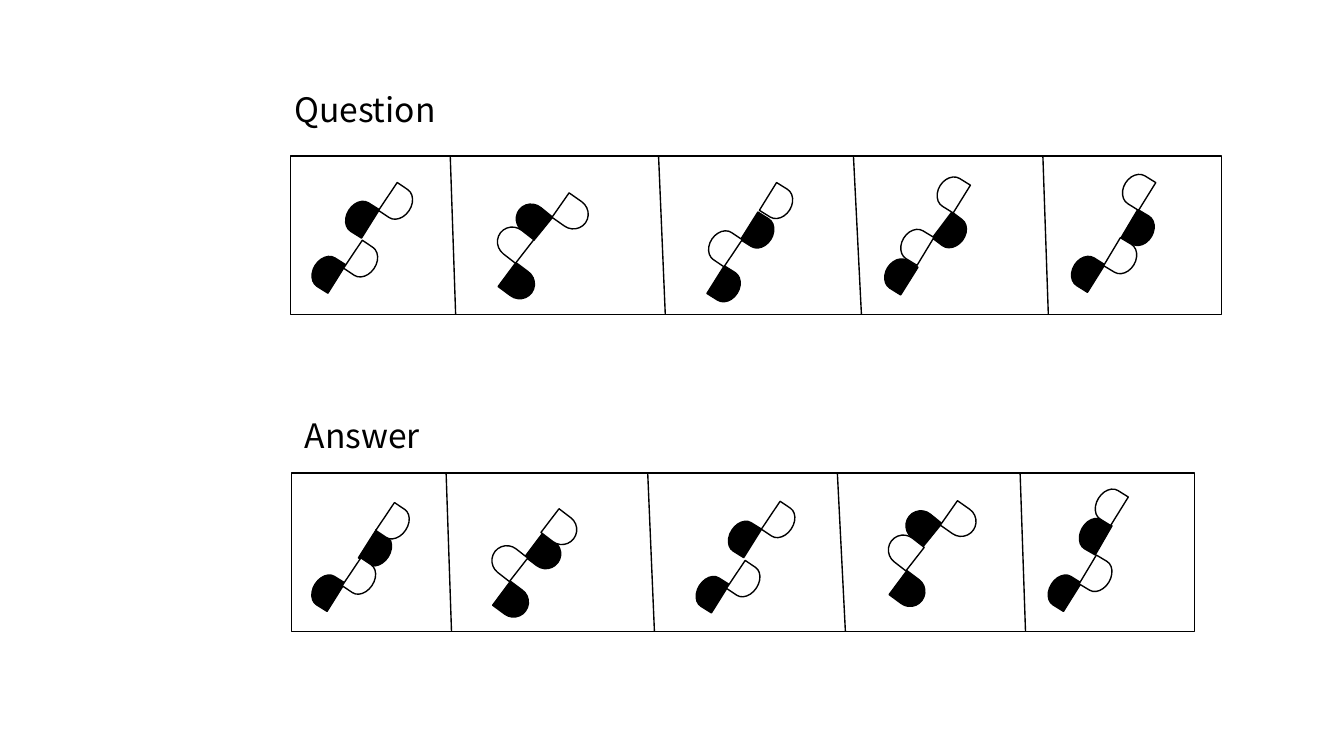
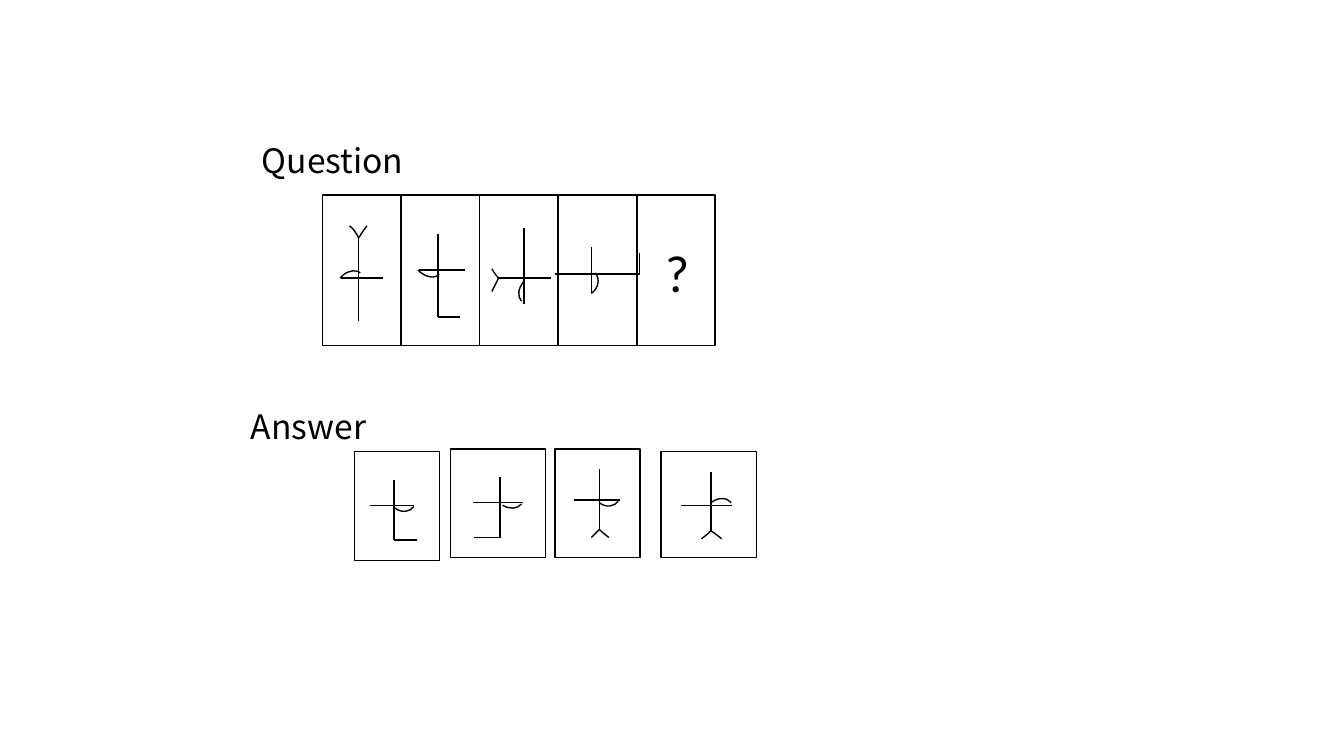
from pptx import Presentation
from pptx import util as u
from pptx.dml.color import RGBColor
from pptx.enum import shapes, text
from pptx.oxml.ns import qn
from lxml import etree

COLORS = {"dark": "000000", "light": "FFFFFF", "ink": "000000"}
HEADING = {"size": 18, "name": "Noto Sans CJK KR"}
MARK = {"size": 28, "name": "Calibri"}
HEADING_SIZE = (175.7, 28.8)
LINE_WIDTH = 0.75

PETAL_STRIPS = [
    {
        "heading": ("Question", 150.5, 43.9),
        "frame": (155.5, 83.5, 499, 85),
        "dividers": [(241.2, 244.1), (352.8, 356.4), (457.2, 461.5), (558.7, 561.6)],
        "panels": [
            ((13.7, 18), [("dark", 167.8, 136.8, 212.1), ("dark", 185.8, 107.3, 212.1),
                          ("light", 187.9, 131, 33.9), ("light", 206.6, 100.1, 33.9)]),
            ((16.4, 16), [("dark", 276.5, 109.4, 219.1), ("light", 298.8, 106.6, 35),
                          ("dark", 270, 144, 36.6), ("light", 266.4, 121.7, 217.9)]),
            ((13.7, 17.5), [("dark", 400.3, 115.9, 32.1), ("dark", 382.3, 144.7, 32.1),
                            ("light", 410.4, 100.1, 31.8), ("light", 380.2, 123.1, 213.9)]),
            ((13.7, 17.5), [("dark", 474.5, 138.2, 212.1), ("dark", 503.3, 115.9, 37),
                            ("light", 483.1, 122.4, 211.2), ("light", 502.6, 94.3, 211.8)]),
            ((13.7, 17.5), [("dark", 574.6, 136.8, 212.1), ("dark", 604.1, 114.5, 30.7),
                            ("light", 594.7, 129.6, 30.9), ("light", 601.9, 92.9, 211.8)]),
        ],
    },
    {
        "heading": ("Answer", 156.2, 218.9),
        "frame": (156.2, 253.4, 483.8, 85),
        "dividers": [(239, 241.9), (347, 350.6), (448.6, 452.9), (546.5, 549.4)],
        "panels": [
            ((13.2, 18), [("dark", 167.8, 307.4, 212.1), ("dark", 195.8, 285.8, 32.3),
                          ("light", 187.2, 301, 33.9), ("light", 205.2, 271.4, 33.9)]),
            ((16, 16), [("dark", 284.4, 288.7, 36.9), ("light", 293, 275.8, 37.3),
                        ("dark", 267.1, 314.6, 36.6), ("light", 263.5, 292.3, 217.9)]),
            ((13.2, 18), [("dark", 373.7, 308.2, 212.1), ("dark", 391, 278.6, 212.1),
                          ("light", 393.1, 302.4, 33.9), ("light", 411.8, 270.7, 33.9)]),
            ((16, 16), [("dark", 485.3, 273.6, 219.1), ("light", 506.9, 271.4, 35),
                        ("dark", 479.5, 308.9, 36.6), ("light", 475.9, 286.6, 217.9)]),
            ((13.2, 18), [("dark", 562.3, 307.4, 212.1), ("dark", 578.9, 277.2, 209.9),
                          ("light", 581.8, 299.5, 30.9), ("light", 587.5, 261.4, 211.8)]),
        ],
    },
]

STICK_HEADINGS = [("Question", 133.2, 71.3), ("Answer", 127.4, 213.8)]
QUESTION_MARK = ("?", 349.2, 125.3)
QUESTION_ROW = {"left": 172.8, "top": 104.4, "step": 42.1, "width": 41.9, "height": 80.8, "count": 5}
ANSWER_FRAMES = [(190.1, 241.9, 45.4, 58.3), (241.2, 240.5, 51.1, 58.3),
                 (297.4, 240.5, 45.4, 58.3), (354.2, 241.9, 51.1, 56.9)]
STICK_FIGURES = [
    {"lines": [(182.9, 149, 205.2, 149), (192.2, 127.4, 192.2, 172.1)],
     "curves": [[(193, 146.2), (190.1, 144), (185, 145.4), (182.2, 149)],
                [(192.2, 127.4), (190.8, 124.6), (188.6, 121.7), (187.2, 121)],
                [(192.2, 127.4), (192.2, 127.4), (194.4, 123.8), (196.6, 121)]]},
    {"lines": [(224.6, 144.7, 249.1, 144.7), (234.7, 125.3, 234.7, 169.9),
               (234.7, 169.9, 246.2, 169.9)],
     "curves": [[(235.4, 146.9), (232.6, 149.8), (227.5, 148.3), (223.9, 144.7)]]},
    {"lines": [(267.1, 149, 295.2, 149), (280.8, 162.7, 280.8, 122.4)],
     "curves": [[(280.8, 150.5), (277.2, 154.8), (277.2, 159.1), (279.4, 161.3)],
                [(267.1, 149), (265.7, 151.9), (264.2, 154.8), (263.5, 156.2)],
                [(267.1, 149), (267.1, 149), (265, 146.9), (263.5, 144)]]},
    {"lines": [(297.4, 146.7, 342.7, 146.7), (316.8, 132.3, 316.8, 157.2),
               (342.5, 146.7, 342.5, 135.5)],
     "curves": [[(319, 146.2), (321.6, 149.8), (320.6, 154.4), (316.8, 157.2)]]},
    {"lines": [(198, 270.7, 221.8, 270.7), (211, 257, 211, 289.4), (211, 289.4, 223.2, 289.4)],
     "curves": [[(211.7, 272.2), (215.3, 275), (219.6, 274.3), (221.8, 271.4)]]},
    {"lines": [(253.4, 269.3, 280.1, 269.3), (267.8, 255.6, 267.8, 288), (254.2, 288, 267.8, 288)],
     "curves": [[(269.3, 270.7), (272.9, 272.9), (277.2, 272.9), (279.4, 270)]]},
    {"lines": [(307.4, 267.8, 331.9, 267.8), (321.1, 251.3, 321.1, 283.7)],
     "curves": [[(321.1, 269.3), (324.7, 272.2), (329, 271.4), (331.2, 268.6)],
                [(321.1, 283.7), (323.3, 285.8), (325.4, 287.3), (326.2, 288)],
                [(321.1, 283.7), (321.1, 283.7), (319, 285.8), (316.8, 288)]]},
    {"lines": [(365, 270.7, 392.4, 270.7), (380.9, 252.7, 380.9, 284.4)],
     "curves": [[(380.9, 269.3), (384.5, 266.4), (389.5, 266.4), (391.7, 269.3)],
                [(380.9, 284.4), (383, 285.8), (385.9, 288), (386.6, 288.7)],
                [(380.9, 284.4), (380.9, 284.4), (378.7, 286.6), (375.8, 288.7)]]},
]


def color(name):
    return RGBColor.from_string(COLORS[name])


def points(values):
    return [u.Pt(value) for value in values]


def outline(shape):
    shape.line.color.rgb = color("ink")
    shape.line.width = u.Pt(LINE_WIDTH)


def style(shape, fill=None):
    shape.shadow.inherit = False
    outline(shape)
    if fill:
        shape.fill.solid()
        shape.fill.fore_color.rgb = color(fill)
    else:
        shape.fill.background()


def add_frame(slide, box):
    style(slide.shapes.add_shape(shapes.MSO_SHAPE.RECTANGLE, *points(box)))


def add_petal(slide, size, fill, left, top, rotation):
    shape = slide.shapes.add_shape(shapes.MSO_SHAPE.FLOWCHART_DELAY, *points((left, top, *size)))
    shape.rotation = rotation
    style(shape, fill)


def add_line(slide, ends):
    line = slide.shapes.add_connector(shapes.MSO_CONNECTOR.STRAIGHT, *points(ends))
    outline(line)
    etree.SubElement(line.element.spPr, qn("a:effectLst"))


def add_curve(slide, corners):
    start, *others = [points(corner) for corner in corners]
    builder = slide.shapes.build_freeform(*start)
    builder.add_line_segments(others, close=False)
    shape = builder.convert_to_shape()
    segments = list(shape.element.iter(qn("a:lnTo")))
    drawing = segments[0].getparent()
    bezier = etree.SubElement(drawing, qn("a:cubicBezTo"))
    for segment in segments:
        bezier.append(segment[0])
        drawing.remove(segment)
    style(shape)


def add_text(slide, words, left, top, size, font, align=None, space_after=None):
    box = slide.shapes.add_textbox(*points((left, top, *size)))
    box.text_frame.word_wrap = True
    paragraph = box.text_frame.paragraphs[0]
    paragraph.alignment = align
    paragraph.space_after = space_after
    run = paragraph.add_run()
    run.text = words
    for name, value in font.items():
        setattr(run.font, name, u.Pt(value) if name == "size" else value)
    run.font.color.rgb = color("ink")


def add_petal_strip(slide, strip):
    left, top, width, height = strip["frame"]
    add_frame(slide, strip["frame"])
    for upper, lower in strip["dividers"]:
        add_line(slide, (upper, top, lower, top + height))
    for size, petals in strip["panels"]:
        for petal in petals:
            add_petal(slide, size, *petal)
    add_text(slide, *strip["heading"], HEADING_SIZE, HEADING)


presentation = Presentation()
presentation.slide_width, presentation.slide_height = points((720, 405))
petal_slide, stick_slide = [
    presentation.slides.add_slide(presentation.slide_layouts[6]) for _ in range(2)
]

for strip in PETAL_STRIPS:
    add_petal_strip(petal_slide, strip)

row = QUESTION_ROW
question_frames = [(row["left"] + index * row["step"], row["top"], row["width"], row["height"])
                   for index in range(row["count"])]
for frame in question_frames + ANSWER_FRAMES:
    add_frame(stick_slide, frame)
for figure in STICK_FIGURES:
    for ends in figure["lines"]:
        add_line(stick_slide, ends)
    for corners in figure["curves"]:
        add_curve(stick_slide, corners)
add_text(stick_slide, *QUESTION_MARK, (23.8, 36), MARK, text.PP_ALIGN.CENTER, u.Pt(10))
for heading in STICK_HEADINGS:
    add_text(stick_slide, *heading, HEADING_SIZE, HEADING)

presentation.save("out.pptx")
